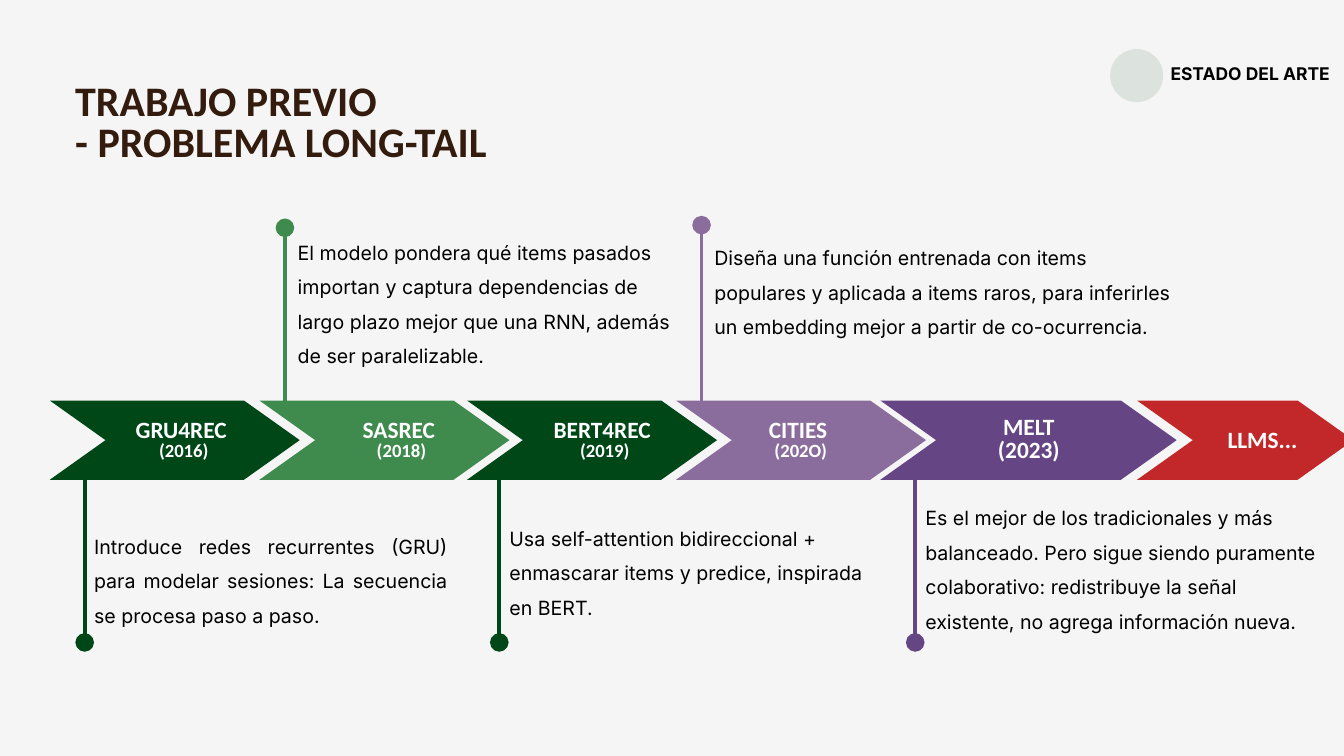
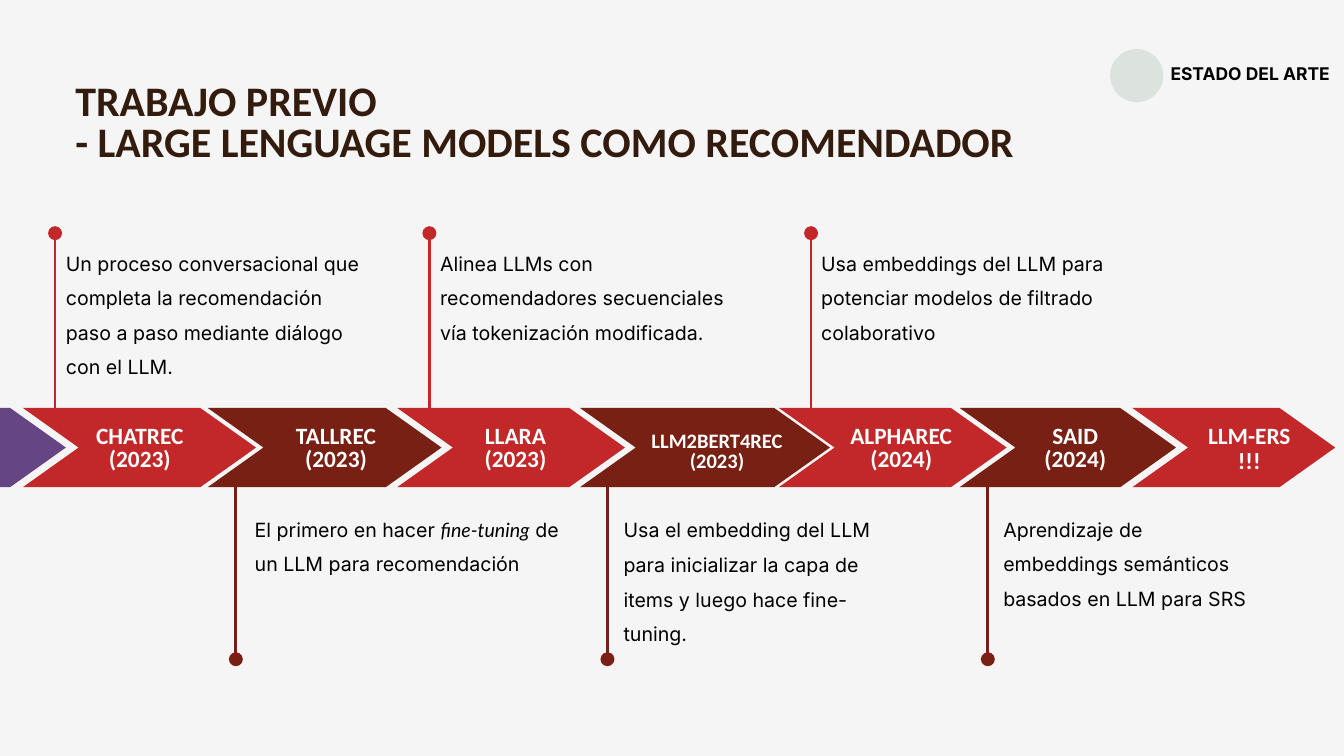
from dataclasses import dataclass
from typing import Optional

from lxml.etree import SubElement
from pptx import Presentation
from pptx.dml.color import RGBColor
from pptx.enum.shapes import MSO_CONNECTOR as Connector, MSO_SHAPE as Shape
from pptx.enum.text import MSO_AUTO_SIZE as AutoSize, PP_ALIGN as Align
from pptx.oxml.ns import qn
from pptx.util import Inches, Pt


@dataclass(frozen=True)
class Theme:
    background: str = "F5F5F5"
    title_color: str = "331B0D"
    body_color: str = "000000"
    label_color: str = "FFFFFF"
    dark_green: str = "004717"
    green: str = "3F8B4E"
    lilac: str = "8B6D9D"
    purple: str = "654584"
    red: str = "C22829"
    maroon: str = "792014"
    heading_font: str = "Calibri"
    body_font: str = "Inter"
    accent_font: str = "Lato"
    title_size: float = 45
    label_size: float = 25
    small_label_size: float = 22
    year_size: float = 20
    note_size: float = 21
    note_spacing: float = 37
    tag_size: float = 18.7
    tight: float = 0.98  # heading line height as a share of its size


THEME = Theme()
SLIDE_WIDTH, SLIDE_HEIGHT = 20, 11.25
CHEVRON_HEIGHT, CHEVRON_POINT = 1.18, 0.83
PIN_OVERLAP = 0.05
SECTION = "ESTADO DEL ARTE"


@dataclass
class Note:
    pin: tuple  # x of the pin, y of its dot
    box: tuple  # left, top, width, height
    runs: list  # plain strings; (text,) marks an accent
    align: Align = Align.LEFT


@dataclass
class Step:
    color: str
    left: float
    width: float
    lines: tuple = ()  # (text, size)
    label: tuple = ()  # left, top, width
    note: Optional[Note] = None
    gap: float = 0  # points between label lines


def named(name, year, year_size=THEME.label_size):
    return (name, THEME.label_size), (f"({year})", year_size)


TIMELINES = [
    dict(
        title=["TRABAJO PREVIO", "- PROBLEMA LONG-TAIL"],
        title_width=10.47, band_top=5.96, pin_width=4,
        steps=[
            Step(THEME.dark_green, 0.74, 3.72,
                 named("GRU4REC ", 2016, THEME.year_size), (1.84, 6.25, 1.79),
                 Note((1.26, 9.56), (1.4, 7.79, 5.26, 1.46),
                      ["Introduce redes recurrentes (GRU) para modelar sesiones: "
                       "La secuencia se procesa paso a paso."], Align.JUSTIFY)),
            Step(THEME.green, 3.86, 3.72,
                 named("SASREC ", 2018, THEME.year_size), (5.08, 6.25, 1.79),
                 Note((4.24, 3.39), (4.43, 3.42, 5.68, 1.97),
                      ["El modelo pondera qué items pasados importan y captura "
                       "dependencias de largo plazo mejor que una RNN, además "
                       "de ser paralelizable."])),
            Step(THEME.dark_green, 6.95, 3.72,
                 named("BERT4REC ", 2019, THEME.year_size), (8.06, 6.25, 1.88),
                 Note((7.43, 9.56), (7.58, 7.67, 5.26, 1.46),
                      ["Usa self-attention bidireccional + enmascarar items y "
                       "predice, inspirada en BERT."])),
            Step(THEME.lilac, 10.06, 3.72,
                 named("CITIES ", "202O", THEME.year_size), (11.02, 6.25, 1.79),
                 Note((10.44, 3.35), (10.63, 3.5, 6.88, 1.46),
                      ["Diseña una función entrenada con items populares y "
                       "aplicada a items raros, para inferirles un embedding "
                       "mejor a partir de co-ocurrencia."])),
            Step(THEME.purple, 13.1, 4.41,
                 named("MELT", 2023), (14.37, 6.21, 1.88),
                 Note((13.62, 9.56), (13.77, 7.37, 5.9, 1.97),
                      ["Es el mejor de los tradicionales y más balanceado. Pero "
                       "sigue siendo puramente colaborativo: redistribuye la "
                       "señal existente, no agrega información nueva."])),
            Step(THEME.red, 16.92, 3.22,
                 (("LLMS...", THEME.label_size),), (17.89, 6.4, 1.79)),
        ],
    ),
    dict(
        title=["TRABAJO PREVIO", "- LARGE LENGUAGE MODELS COMO RECOMENDADOR"],
        title_width=16.85, band_top=6.07, pin_width=3,
        steps=[
            Step(THEME.purple, -2.74, 3.72),
            Step(THEME.red, 0.34, 3.47,
                 named("CHATREC", 2023), (1.14, 6.34, 1.88),
                 Note((0.82, 3.47), (0.98, 3.58, 4.53, 2),
                      ["Un proceso conversacional que completa la recomendación "
                       "paso a paso mediante diálogo con el LLM."])),
            Step(THEME.maroon, 3.09, 3.48,
                 named("TALLREC", 2023), (4.06, 6.34, 1.88),
                 Note((3.51, 9.81), (3.79, 7.54, 4.55, 0.98),
                      ["El primero en hacer ", ("fine-tuning",),
                       " de un LLM para recomendación"])),
            Step(THEME.red, 5.91, 3.39,
                 named("LLARA", 2023), (6.73, 6.34, 1.88),
                 Note((6.39, 3.47), (6.55, 3.58, 4.43, 1.49),
                      ["Alinea LLMs con recomendadores secuenciales vía "
                       "tokenización modificada."])),
            Step(THEME.maroon, 8.63, 3.72,
                 (("LLM2BERT4REC (2023)", THEME.small_label_size),),
                 (9.28, 6.43, 2.78),
                 Note((9.04, 9.81), (9.28, 7.55, 4.27, 1.49),
                      ["Usa el embedding del LLM para inicializar la capa de "
                       "items y luego hace fine-tuning."])),
            Step(THEME.red, 11.59, 3.39,
                 named("ALPHAREC", 2024), (12.47, 6.34, 1.88),
                 Note((12.07, 3.47), (12.22, 3.58, 4.43, 1.49),
                      ["Usa embeddings del LLM para potenciar modelos de filtrado "
                       "colaborativo"])),
            Step(THEME.maroon, 14.28, 3.22,
                 named("SAID", 2024), (15.06, 6.34, 1.88),
                 Note((14.7, 9.81), (14.93, 7.54, 3.83, 1.49),
                      ["Aprendizaje de embeddings semánticos basados en LLM para "
                       "SRS"])),
            Step(THEME.red, 16.85, 3.02,
                 (("LLM-ERS", THEME.label_size), ("!!!", THEME.label_size)),
                 (17.65, 6.35, 1.88), gap=2),
        ],
    ),
]


def rgb(color):
    return RGBColor.from_string(color)


def inches(*lengths):
    return [Inches(length) for length in lengths]


def add_text_frame(slide, box):
    frame = slide.shapes.add_textbox(*inches(*box)).text_frame
    frame.margin_left = frame.margin_right = 0
    frame.margin_top = frame.margin_bottom = 0
    frame.word_wrap = True
    frame.auto_size = AutoSize.SHAPE_TO_FIT_TEXT
    return frame


def next_paragraph(frame, index, align, spacing, gap=0):
    paragraph = frame.add_paragraph() if index else frame.paragraphs[0]
    paragraph.alignment = align
    paragraph.line_spacing = Pt(spacing)
    if index and gap:
        paragraph.space_before = Pt(gap)
    return paragraph


def add_run(paragraph, text, font, size, color, bold=False, italic=False):
    run = paragraph.add_run()
    run.text = text
    run.font.name, run.font.size = font, Pt(size)
    run.font.bold, run.font.italic = bold, italic
    run.font.color.rgb = rgb(color)


def add_heading(slide, box, lines, color, align=Align.LEFT, gap=0):
    """Bold, tightly set lines, each with its own size."""
    frame = add_text_frame(slide, box)
    for index, (text, size) in enumerate(lines):
        paragraph = next_paragraph(frame, index, align, size * THEME.tight, gap)
        add_run(paragraph, text, THEME.heading_font, size, color, bold=True)


def add_filled_shape(slide, kind, box, color):
    shape = slide.shapes.add_shape(kind, *inches(*box))
    shape.shadow.inherit = False
    shape.fill.solid()
    shape.fill.fore_color.rgb = rgb(color)
    shape.line.fill.background()
    return shape


def add_section_tag(slide):
    circle = add_filled_shape(slide, Shape.OVAL, (16.52, 0.73, 0.79, 0.79),
                              THEME.dark_green)
    color = circle.fill._xPr.find(qn("a:solidFill"))[0]
    SubElement(color, qn("a:alpha"), val="10000")
    frame = add_text_frame(slide, (17.1, 0.99, 2.69, 0.28))
    paragraph = next_paragraph(frame, 0, Align.RIGHT, THEME.tag_size)
    add_run(paragraph, SECTION, THEME.body_font, THEME.tag_size,
            THEME.body_color, bold=True)


def add_pin(slide, pin, band_top, color, width):
    """Line from the band's nearer edge to a dot above or below it."""
    x, dot_y = pin
    if dot_y < band_top:
        start_y = band_top + PIN_OVERLAP
    else:
        start_y = band_top + CHEVRON_HEIGHT - PIN_OVERLAP
    line = slide.shapes.add_connector(Connector.STRAIGHT,
                                      *inches(x, start_y, x, dot_y))
    line.line.color.rgb = rgb(color)
    line.line.width = Pt(width)
    SubElement(line.line._get_or_add_ln(), qn("a:tailEnd"),
               type="oval", w="lg", len="lg")
    SubElement(line._element.spPr, qn("a:effectLst"))


def add_note(slide, note):
    frame = add_text_frame(slide, note.box)
    paragraph = next_paragraph(frame, 0, note.align, THEME.note_spacing)
    for part in note.runs:
        accent = isinstance(part, tuple)
        add_run(paragraph, part[0] if accent else part,
                THEME.accent_font if accent else THEME.body_font,
                THEME.note_size, THEME.body_color, italic=accent)


def add_step(slide, step, band_top, pin_width):
    chevron = add_filled_shape(
        slide, Shape.CHEVRON,
        (step.left, band_top, step.width, CHEVRON_HEIGHT), step.color)
    chevron.adjustments[0] = CHEVRON_POINT / CHEVRON_HEIGHT
    if step.lines:
        points = sum(size for _, size in step.lines) * THEME.tight
        add_heading(slide, (*step.label, points / 72), step.lines,
                    THEME.label_color, Align.CENTER, step.gap)
    if step.note:
        add_note(slide, step.note)
        add_pin(slide, step.note.pin, band_top, step.color, pin_width)


def add_timeline(presentation, title, title_width, band_top, pin_width, steps):
    slide = presentation.slides.add_slide(presentation.slide_layouts[6])
    slide.background.fill.solid()
    slide.background.fill.fore_color.rgb = rgb(THEME.background)
    add_heading(slide, (1.12, 1.25, title_width, 1.24),
                [(text, THEME.title_size) for text in title], THEME.title_color)
    for step in steps:
        add_step(slide, step, band_top, pin_width)
    add_section_tag(slide)


def main():
    presentation = Presentation()
    presentation.slide_width = Inches(SLIDE_WIDTH)
    presentation.slide_height = Inches(SLIDE_HEIGHT)
    for timeline in TIMELINES:
        add_timeline(presentation, **timeline)
    presentation.save("out.pptx")


if __name__ == "__main__":
    main()
